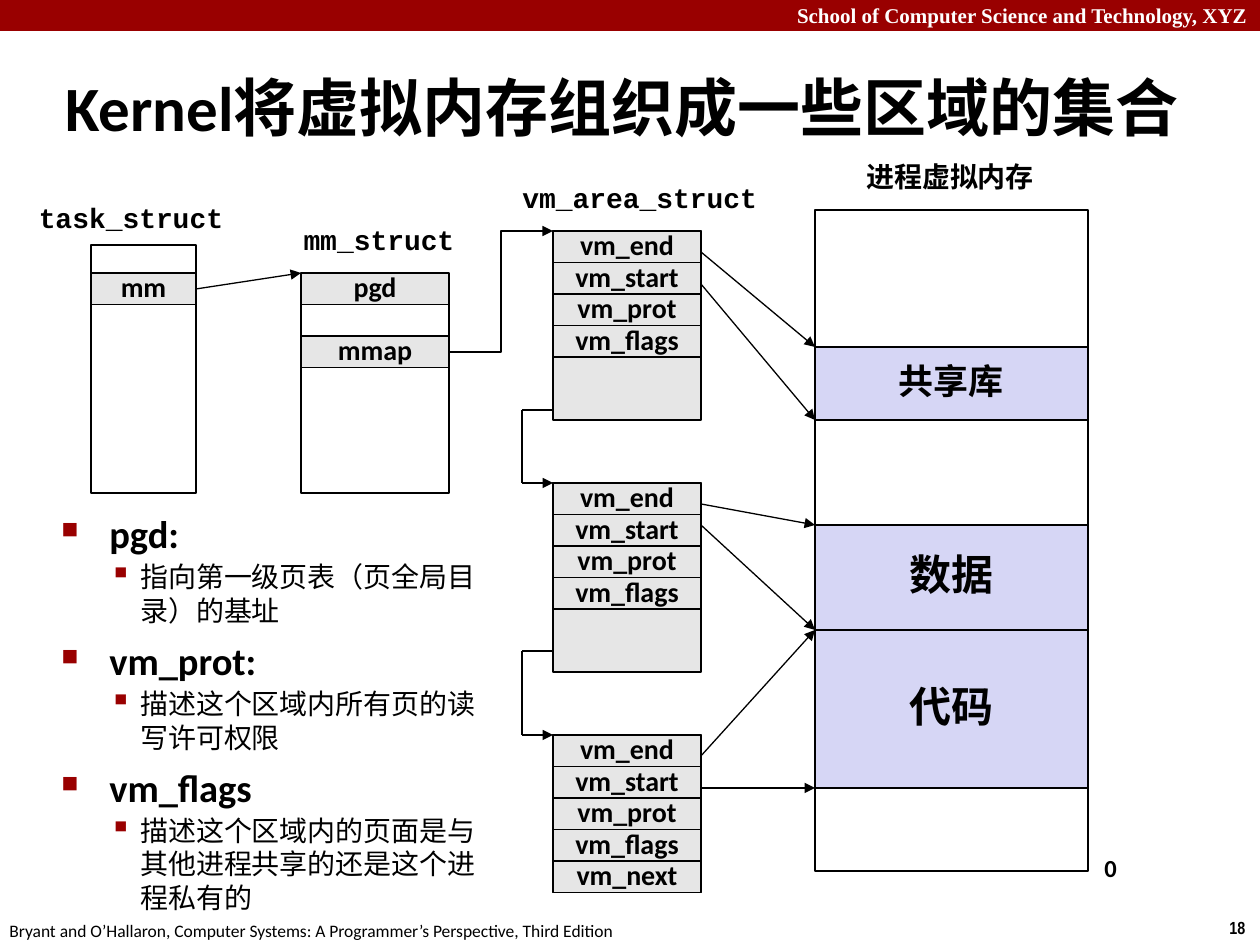
from dataclasses import dataclass
from pptx import Presentation
from pptx.dml.color import RGBColor
from pptx.enum.lang import MSO_LANGUAGE_ID
from pptx.enum.shapes import MSO_CONNECTOR, MSO_SHAPE
from pptx.enum.text import MSO_ANCHOR, PP_ALIGN
from pptx.oxml.ns import qn
from pptx.util import Emu, Pt
from lxml.etree import SubElement


@dataclass(frozen=True)
class Theme:
    """Colours, fonts and type sizes of the slide."""
    red: str = "990000"
    black: str = "000000"
    white: str = "FFFFFF"
    grey: str = "E6E6E6"
    lilac: str = "D6D6F5"
    sans: str = "Calibri"
    mono: str = "Courier New"
    serif: str = "Times New Roman"
    narrow: str = "Arial Narrow"
    title: int = 36
    region: int = 24
    topic: int = 22
    library: int = 20
    label: int = 16
    zero: int = 14
    header: int = 12
    footer: int = 10
    line: float = 0.74


T = Theme()
PX = 914400 // 126
LEFT, CENTER, RIGHT = PP_ALIGN.LEFT, PP_ALIGN.CENTER, PP_ALIGN.RIGHT

TITLE = "Kernel将虚拟内存组织成一些区域的集合"
HEADER = "School of Computer Science and Technology, XYZ"
FOOTER = "Bryant and O’Hallaron, Computer Systems: A Programmer’s Perspective, Third Edition"
LABELS = [
    ("task_struct", (25, 199, 212, 43), T.mono, T.label, CENTER, 6),
    ("mm_struct", (290, 221, 178, 43), T.mono, T.label, CENTER, 6),
    ("vm_area_struct", (510, 179, 262, 43), T.mono, T.label, LEFT, 10),
    ("进程虚拟内存", (854, 158, 197, 42), T.sans, T.label, LEFT, 10),
    ("0", (1092, 851, 39, 39), T.sans, T.zero, LEFT, 5.2),
]
STRUCTS = [
    ((91, 245, 105, 248), [("mm", 273)]),
    ((301, 276, 148, 217), [("pgd", 273), ("mmap", 336)]),
]
ROW = 63 / 2
FIELDS = ["vm_end", "vm_start", "vm_prot", "vm_flags", "vm_next"]
AREA_X, AREA_W = 553, 148
AREAS = [(231, 420, 4), (483, 672, 4), (735, 892, 5)]
MEMORY = (815, 210, 273, 661)
REGIONS = [("共享库", 347, 420, T.library), ("数据", 525, 630, T.region),
           ("代码", 630, 788, T.region)]
POINTERS = [(252, 347), (284, 420), (504, 525), (525, 630), (756, 630), (788, 788)]
NEXT_X = 522
NEXT_LINKS = [(410, 483), (651, 735)]
NOTES = [
    ("pgd:", "指向第一级页表（页全局目录）的基址"),
    ("vm_prot:", "描述这个区域内所有页的读写许可权限"),
    ("vm_flags", "描述这个区域内的页面是与其他进程共享的还是这个进程私有的"),
]
LEVELS = [(T.topic, True, 5.6, 48, 48, "■", 60), (T.label, False, 2, 79, 31, "▪", 110)]


def px(*values):
    return [Emu(round(v * PX)) for v in values]


def add_run(p, text, size, font=T.sans, bold=True, color=T.black):
    r = p.add_run()
    r.text = text
    f = r.font
    f.name, f.size, f.bold = font, Pt(size), bold
    f.color.rgb = RGBColor.from_string(color)
    if any(ord(c) > 0x2fff for c in text):
        f.language_id = MSO_LANGUAGE_ID.SIMPLIFIED_CHINESE


def tighten(p, before, align):
    p.alignment, p.line_spacing, p.space_before = align, 0.88, Pt(before)


def add_text(s, box, wrap=False, anchor=MSO_ANCHOR.TOP):
    tf = s.shapes.add_textbox(*px(*box)).text_frame
    tf.word_wrap, tf.vertical_anchor = wrap, anchor
    return tf


def add_box(s, box, fill, text="", size=T.label, outlined=True):
    sp = s.shapes.add_shape(MSO_SHAPE.RECTANGLE, *px(*box))
    sp.shadow.inherit = False
    sp.fill.solid()
    sp.fill.fore_color.rgb = RGBColor.from_string(fill)
    if outlined:
        sp.line.color.rgb = RGBColor.from_string(T.black)
        sp.line.width = Pt(T.line)
    else:
        sp.line.fill.background()
    if text:
        tf = sp.text_frame
        tf.word_wrap, tf.vertical_anchor = False, MSO_ANCHOR.MIDDLE
        p = tf.paragraphs[0]
        tighten(p, 6, CENTER)
        add_run(p, text, size)


def add_line(s, start, end, arrow=True, kind=MSO_CONNECTOR.STRAIGHT):
    c = s.shapes.add_connector(kind, *px(*start, *end))
    c.line.color.rgb = RGBColor.from_string(T.black)
    c.line.width = Pt(T.line)
    if arrow:
        SubElement(c.line._get_or_add_ln(), qn("a:tailEnd"), type="triangle")
    SubElement(c._element.spPr, qn("a:effectLst"))


def add_bullet(p, indent, hang, char, percent):
    pPr = p._p.get_or_add_pPr()
    pPr.set("marL", str(indent * PX))
    pPr.set("indent", str(-hang * PX))
    SubElement(SubElement(pPr, qn("a:buClr")), qn("a:srgbClr"), val=T.red)
    SubElement(pPr, qn("a:buSzPct"), val=str(percent * 1000))
    SubElement(pPr, qn("a:buChar"), char=char)


def add_frame(s):
    add_box(s, (0, 0, 1260, 31), T.red, outlined=False)
    p = add_text(s, (0, -4, 1260, 38), wrap=True).paragraphs[0]
    p.alignment = RIGHT
    add_run(p, HEADER, T.header, T.serif, color=T.white)
    add_run(add_text(s, (1217, 911, 43, 34)).paragraphs[0], "18", T.footer, T.narrow)
    add_run(add_text(s, (-3, 914, 640, 34)).paragraphs[0], FOOTER, T.footer, bold=False)
    tf = add_text(s, (53, 31, 1187, 151), wrap=True, anchor=MSO_ANCHOR.MIDDLE)
    add_run(tf.paragraphs[0], TITLE, T.title)


def add_diagram(s):
    for text, box, font, size, align, before in LABELS:
        p = add_text(s, box).paragraphs[0]
        tighten(p, before, align)
        add_run(p, text, size, font)
    for (x, y, w, h), fields in STRUCTS:
        add_box(s, (x, y, w, h), T.white)
        for name, top in fields:
            add_box(s, (x, top, w, ROW), T.grey, name)
    for top, bottom, count in AREAS:
        add_box(s, (AREA_X, top, AREA_W, bottom - top), T.grey)
        for i, name in enumerate(FIELDS[:count]):
            add_box(s, (AREA_X, top + i * ROW, AREA_W, ROW), T.grey, name)
    add_box(s, MEMORY, T.white)
    for name, top, bottom, size in REGIONS:
        add_box(s, (MEMORY[0], top, MEMORY[2], bottom - top), T.lilac, name, size)


def add_links(s):
    for y1, y2 in POINTERS:
        add_line(s, (AREA_X + AREA_W, y1), (MEMORY[0], y2))
    for y1, y2 in NEXT_LINKS:
        pts = [(AREA_X, y1), (NEXT_X, y1), (NEXT_X, y2), (AREA_X, y2)]
        for i, (start, end) in enumerate(zip(pts, pts[1:])):
            add_line(s, start, end, arrow=i == 2)
    add_line(s, (449, 352), (AREA_X, 231), kind=MSO_CONNECTOR.ELBOW)
    add_line(s, (196, 289), (301, 273))


def add_notes(s):
    tf = add_text(s, (49, 504, 441, 398), wrap=True)
    p = tf.paragraphs[0]
    for i, note in enumerate(NOTES):
        for j, (text, level) in enumerate(zip(note, LEVELS)):
            if i or j:
                p = tf.add_paragraph()
            size, bold, before, *bullet = level
            p.level, p.space_before = j, Pt(before)
            add_bullet(p, *bullet)
            add_run(p, text, size, bold=bold)


prs = Presentation()
prs.slide_width, prs.slide_height = px(1260, 945)
s = prs.slides.add_slide(prs.slide_layouts[6])
for build in (add_frame, add_diagram, add_links, add_notes):
    build(s)
prs.save("out.pptx")
